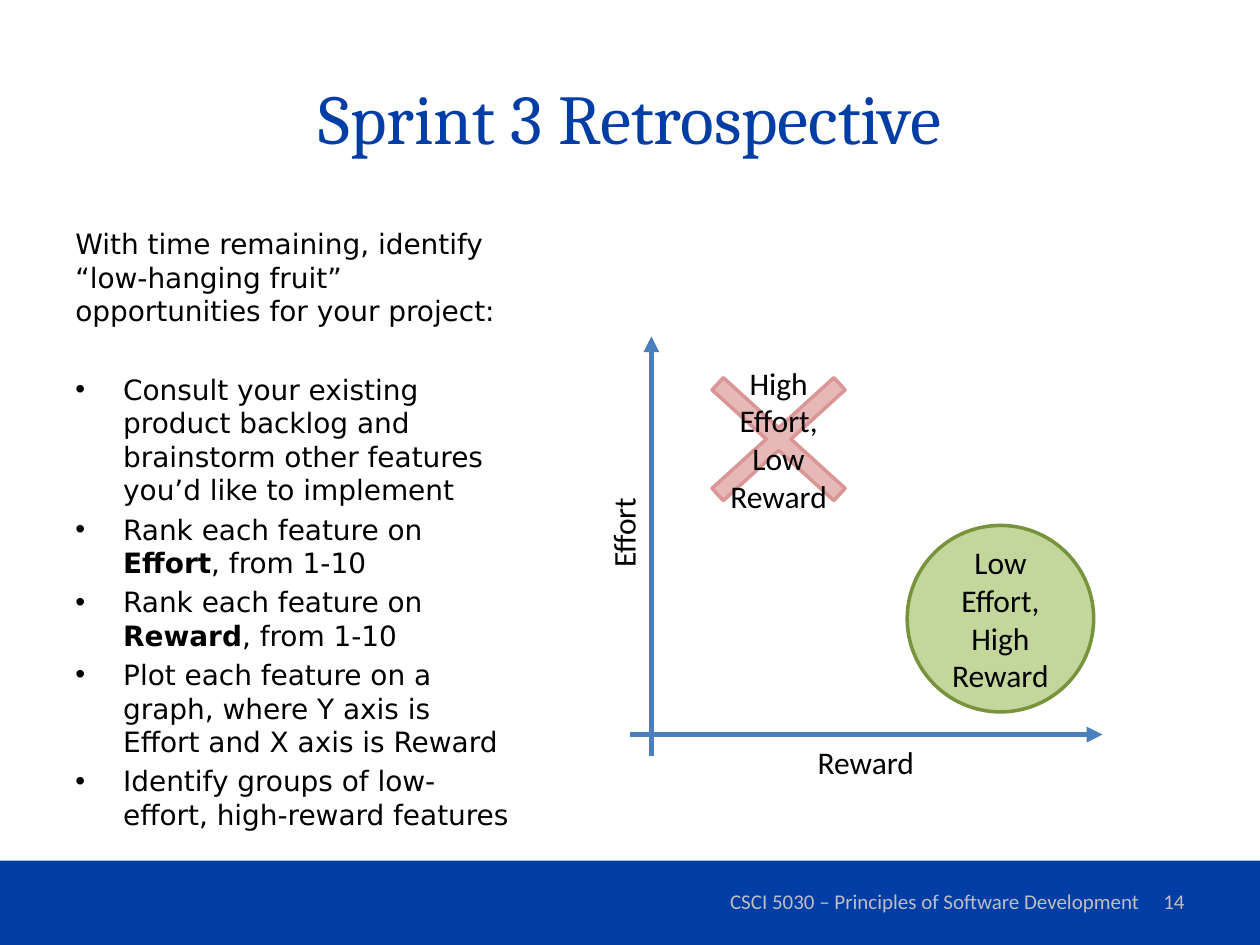
from lxml import etree
from pptx import Presentation
from pptx import util as u
from pptx.dml.color import RGBColor
from pptx.enum import shapes, text
from pptx.oxml import ns

BLUE = RGBColor(0x00, 0x3D, 0xA5)
BLACK = RGBColor(0x00, 0x00, 0x00)
SILVER = RGBColor(0xBF, 0xBF, 0xBF)
AXIS = RGBColor(0x4B, 0x7E, 0xBC)
GREEN = RGBColor(0xC3, 0xD6, 0x9B)
DARK_GREEN = RGBColor(0x77, 0x93, 0x3C)
PINK = RGBColor(0xE6, 0xB9, 0xB8)
ROSE = RGBColor(0xD9, 0x96, 0x94)

LEFT, CENTER, RIGHT = text.PP_ALIGN.LEFT, text.PP_ALIGN.CENTER, text.PP_ALIGN.RIGHT
TOP, MIDDLE = text.MSO_ANCHOR.TOP, text.MSO_ANCHOR.MIDDLE

INTRO = "With time remaining, identify “low-hanging fruit” opportunities for your project:"
# Bold words stand between asterisks
STEPS = [
    "Consult your existing product backlog and brainstorm other features you’d like to implement",
    "Rank each feature on *Effort*, from 1-10",
    "Rank each feature on *Reward*, from 1-10",
    "Plot each feature on a graph, where Y axis is Effort and X axis is Reward",
    "Identify groups of low-effort, high-reward features",
]


class SlideWriter:
    label_font = "Calibri"
    title_font = "Cambria"
    body_font = "DejaVu Sans"
    body_size = 16
    label_size = 18

    def __init__(self, slide):
        self.s = slide

    def style(self, p, size, font, color, align=LEFT):
        p.alignment = align
        for r in p.runs:
            r.font.size = u.Pt(size)
            r.font.name = font
            r.font.color.rgb = color

    def text_box(self, box, words, size, font, color, align=LEFT, anchor=TOP):
        sp = self.s.shapes.add_textbox(*map(u.Inches, box))
        tf = sp.text_frame
        tf.word_wrap = True
        tf.vertical_anchor = anchor
        tf.text = words
        self.style(tf.paragraphs[0], size, font, color, align)
        return sp

    def axis_label(self, box, words, rotation=0):
        sp = self.text_box(box, words, self.label_size, self.label_font, BLACK)
        sp.text_frame.word_wrap = False
        sp.text_frame.auto_size = text.MSO_AUTO_SIZE.SHAPE_TO_FIT_TEXT
        sp.rotation = rotation

    def bullet(self, tf, words, space_before):
        p = tf.add_paragraph()
        pPr = p._p.get_or_add_pPr()
        pPr.set("marL", str(u.Inches(0.38)))
        pPr.set("indent", str(-u.Inches(0.38)))
        etree.SubElement(pPr, ns.qn("a:buFont")).set("typeface", "Arial")
        etree.SubElement(pPr, ns.qn("a:buChar")).set("char", "•")
        p.space_before = u.Pt(space_before)
        for i, part in enumerate(words.split("*")):
            r = p.add_run()
            r.text = part
            r.font.bold = i % 2 == 1
        self.style(p, self.body_size, self.body_font, BLACK)

    def shape(self, kind, box, fill, line=None, words=""):
        sp = self.s.shapes.add_shape(kind, *map(u.Inches, box))
        sp.shadow.inherit = False
        sp.fill.solid()
        sp.fill.fore_color.rgb = fill
        if line is None:
            sp.line.fill.background()
        else:
            sp.line.color.rgb = line
            sp.line.width = u.Pt(2)
        if words:
            tf = sp.text_frame
            tf.word_wrap = True
            tf.vertical_anchor = MIDDLE
            tf.text = words
            self.style(tf.paragraphs[0], self.label_size, self.label_font, BLACK, CENTER)
        return sp

    def arrow(self, start, end):
        c = self.s.shapes.add_connector(
            shapes.MSO_CONNECTOR.STRAIGHT, *map(u.Inches, start + end))
        c.line.color.rgb = AXIS
        c.line.width = u.Pt(3)
        etree.SubElement(c.line._get_or_add_ln(), ns.qn("a:tailEnd")).set("type", "triangle")
        etree.SubElement(c._element.spPr, ns.qn("a:effectLst"))


def main():
    prs = Presentation()
    prs.slide_width, prs.slide_height = u.Inches(10), u.Inches(7.5)
    w = SlideWriter(prs.slides.add_slide(prs.slide_layouts[6]))

    # Footer band
    w.shape(shapes.MSO_SHAPE.RECTANGLE, (0, 6.83, 10, 0.67), BLUE)

    # Title
    w.text_box((0.5, 0.3, 9, 1.25), "Sprint 3 Retrospective",
               40, w.title_font, BLUE, CENTER, MIDDLE)

    # Instructions
    body = w.text_box((0.5, 1.75, 3.67, 4.95), INTRO, w.body_size, w.body_font, BLACK)
    for i, step in enumerate(STEPS):
        w.bullet(body.text_frame, step, 3.2 if i else 25.5)

    # Footer text
    for box, words, align in (
        ((5.67, 6.95, 3.5, 0.4), "CSCI 5030 – Principles of Software Development", CENTER),
        ((7.17, 6.95, 2.33, 0.4), "14", RIGHT),
    ):
        w.text_box(box, words, 12, w.label_font, SILVER, align, MIDDLE)

    # Axes
    w.arrow((5.17, 6), (5.17, 2.67))
    w.arrow((5, 5.83), (8.75, 5.83))
    w.axis_label((4.56, 4.02, 0.77, 0.4), "Effort", 270)
    w.axis_label((6.39, 5.85, 0.98, 0.4), "Reward")

    # Feature groups
    w.shape(shapes.MSO_SHAPE.OVAL, (7.2, 4.17, 1.48, 1.48),
            GREEN, DARK_GREEN, "Low Effort, High Reward")
    cross = w.shape(shapes.MSO_SHAPE.MATH_MULTIPLY, (5.25, 2.64, 1.86, 1.69),
                    PINK, ROSE, "High Effort, Low Reward")
    cross.adjustments[0] = 0.078

    prs.save("out.pptx")


if __name__ == "__main__":
    main()
